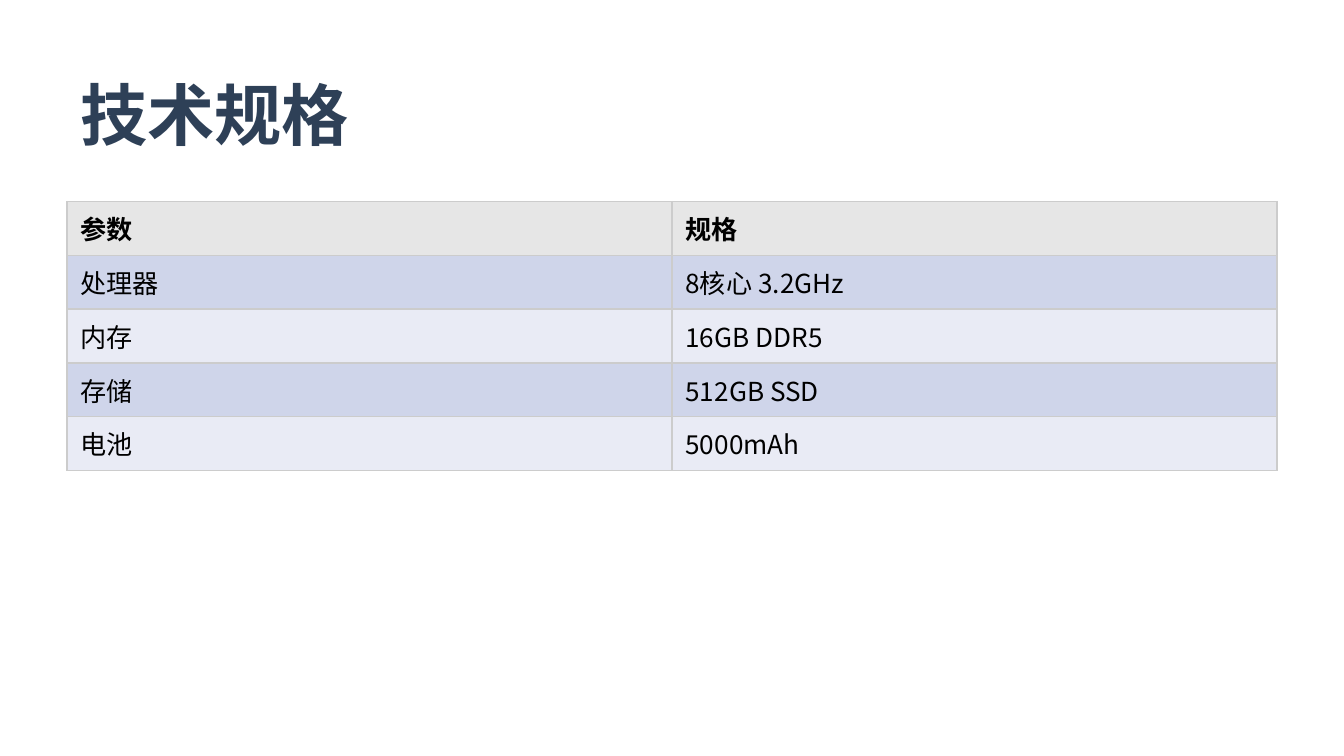
from lxml.etree import SubElement
from pptx import Presentation
from pptx.dml.color import RGBColor
from pptx.enum.text import MSO_ANCHOR
from pptx.oxml.ns import qn
from pptx.util import Inches, Pt

FONT = "Noto Sans CJK SC"
SLIDE_WIDTH = Inches(10)
SLIDE_HEIGHT = SLIDE_WIDTH * 9 // 16
MARGIN = SLIDE_WIDTH // 20
CONTENT_WIDTH = SLIDE_WIDTH - 2 * MARGIN
ROW_HEIGHT = Inches(0.4)
HEADER_FILL = "E6E6E6"
BAND_FILLS = ("CFD5EA", "E9EBF5")
BORDER_COLOR = "CCCCCC"
SPECS = [
    ("参数", "规格"),
    ("处理器", "8核心 3.2GHz"),
    ("内存", "16GB DDR5"),
    ("存储", "512GB SSD"),
    ("电池", "5000mAh"),
]


def color(hex_value):
    return RGBColor.from_string(hex_value)


def format_text(frame, size, hex_value, bold):
    for paragraph in frame.paragraphs:
        for run in paragraph.runs:
            run.font.name = FONT
            run.font.size = Pt(size)
            run.font.bold = bold
            run.font.color.rgb = color(hex_value)
            # Chinese characters take the East Asian typeface
            SubElement(run.font._element, qn("a:ea"), typeface=FONT)


def add_border(cell):
    properties = cell._tc.get_or_add_tcPr()
    for position, side in enumerate(("lnL", "lnR", "lnT", "lnB")):
        line = SubElement(properties, qn(f"a:{side}"), w=str(Pt(1)))
        fill = SubElement(line, qn("a:solidFill"))
        SubElement(fill, qn("a:srgbClr"), val=BORDER_COLOR)
        # Borders must precede the cell fill
        properties.insert(position, line)


def add_title(slide, title):
    heading = slide.shapes.add_textbox(MARGIN, MARGIN, CONTENT_WIDTH, 2 * ROW_HEIGHT)
    frame = heading.text_frame
    frame.word_wrap = True
    frame.text = title
    format_text(frame, 36, "2E4057", True)


def add_spec_table(slide, rows):
    specs = slide.shapes.add_table(
        len(rows), len(rows[0]), MARGIN, 3 * MARGIN,
        CONTENT_WIDTH, ROW_HEIGHT * len(rows),
    ).table
    for row, values in enumerate(rows):
        is_header = row == 0
        fill = HEADER_FILL if is_header else BAND_FILLS[(row - 1) % 2]
        for column, value in enumerate(values):
            cell = specs.cell(row, column)
            cell.text_frame.text = value
            cell.vertical_anchor = MSO_ANCHOR.MIDDLE
            cell.fill.solid()
            cell.fill.fore_color.rgb = color(fill)
            format_text(cell.text_frame, 14, "000000", is_header)
            add_border(cell)


def main():
    presentation = Presentation()
    presentation.slide_width = SLIDE_WIDTH
    presentation.slide_height = SLIDE_HEIGHT
    slide = presentation.slides.add_slide(presentation.slide_layouts[6])

    # Heading
    add_title(slide, "技术规格")

    # Specification table
    add_spec_table(slide, SPECS)

    presentation.save("out.pptx")


if __name__ == "__main__":
    main()
